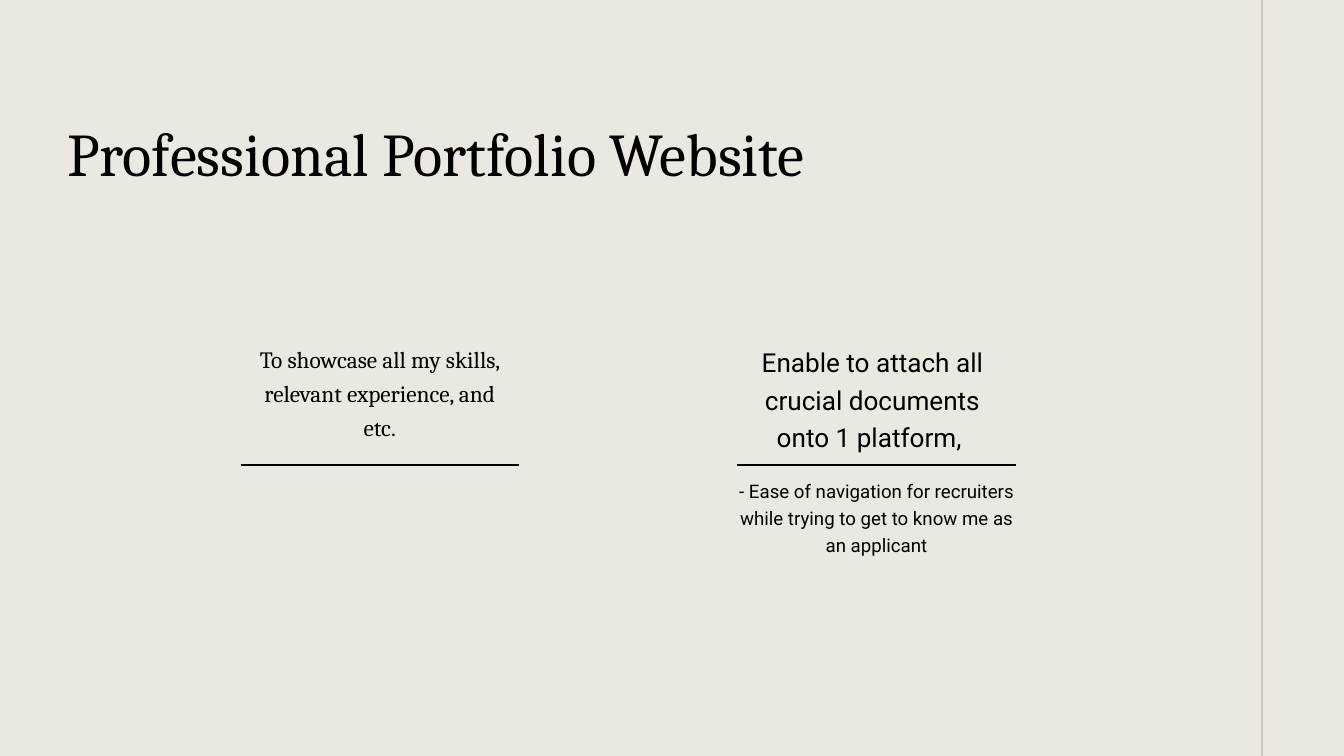
from dataclasses import dataclass

from pptx import Presentation
from pptx.dml.color import RGBColor as RGB
from pptx.enum.shapes import MSO_CONNECTOR as Link
from pptx.enum.text import MSO_AUTO_SIZE as Fit, PP_ALIGN as Align
from pptx.oxml.ns import qn
from pptx.util import Pt
from lxml.etree import SubElement


@dataclass(frozen=True)
class Theme:
    paper: RGB = RGB(0xEB, 0xE8, 0xE2)
    ink: RGB = RGB(0, 0, 0)
    edge: RGB = RGB(0xCF, 0xC9, 0xBD)
    serif: str = "Cambria"
    sans: str = "Roboto"
    title: int = 65
    goal: int = 25
    gain: int = 28
    note: int = 20


THEME = Theme()
WIDE, HIGH = 1440, 810
RULE_Y, RULE_W = 498.24, 298.8
HEAD_Y, HEAD_W = 364.3, 265


def add_text(slide, box, words, font, size, align=Align.CENTER, space=1.2):
    frame = slide.shapes.add_textbox(*map(Pt, box)).text_frame
    frame.word_wrap = True
    frame.auto_size = Fit.SHAPE_TO_FIT_TEXT
    frame.margin_left = frame.margin_right = 0
    frame.margin_top = frame.margin_bottom = 0
    frame.text = words
    para = frame.paragraphs[0]
    para.alignment = align
    para.line_spacing = space
    face = para.runs[0].font
    face.name, face.size = font, Pt(size)
    face.color.rgb = THEME.ink


def add_line(slide, start, end, color, weight):
    line = slide.shapes.add_connector(
        Link.STRAIGHT, *map(Pt, (*start, *end)))
    line.line.color.rgb = color
    line.line.width = Pt(weight)
    SubElement(line._element.spPr, qn("a:effectLst"))


def add_column(slide, left, head_x, head_h, words, font, size):
    """Heading above a thick rule."""
    add_line(slide, (left, RULE_Y), (left + RULE_W, RULE_Y), THEME.ink, 3)
    add_text(slide, (head_x, HEAD_Y, HEAD_W, head_h), words, font, size)


def main():
    deck = Presentation()
    deck.slide_width, deck.slide_height = Pt(WIDE), Pt(HIGH)
    slide = deck.slides.add_slide(deck.slide_layouts[6])
    fill = slide.background.fill
    fill.solid()
    fill.fore_color.rgb = THEME.paper

    # Title and side line
    add_text(slide, (72, 100, 1220, 103), "Professional Portfolio Website",
             THEME.serif, THEME.title, Align.LEFT, 1.31)
    add_line(slide, (1352.2, HIGH), (1352.2, 0), THEME.edge, 2.25)

    # Two purposes
    add_column(slide, 257.8, 274.3, 108.7,
               "To showcase all my skills, relevant experience, and etc.",
               THEME.serif, THEME.goal)
    right = 789.8
    add_column(slide, right, 802.1, 122.4,
               "Enable to attach all crucial documents onto 1 platform, ",
               THEME.sans, THEME.gain)

    # Note below the right rule
    add_text(slide, (right, 509.8, RULE_W, 87.1),
             "- Ease of navigation for recruiters while trying to get to "
             "know me as an applicant", THEME.sans, THEME.note)

    deck.save("out.pptx")


if __name__ == "__main__":
    main()
